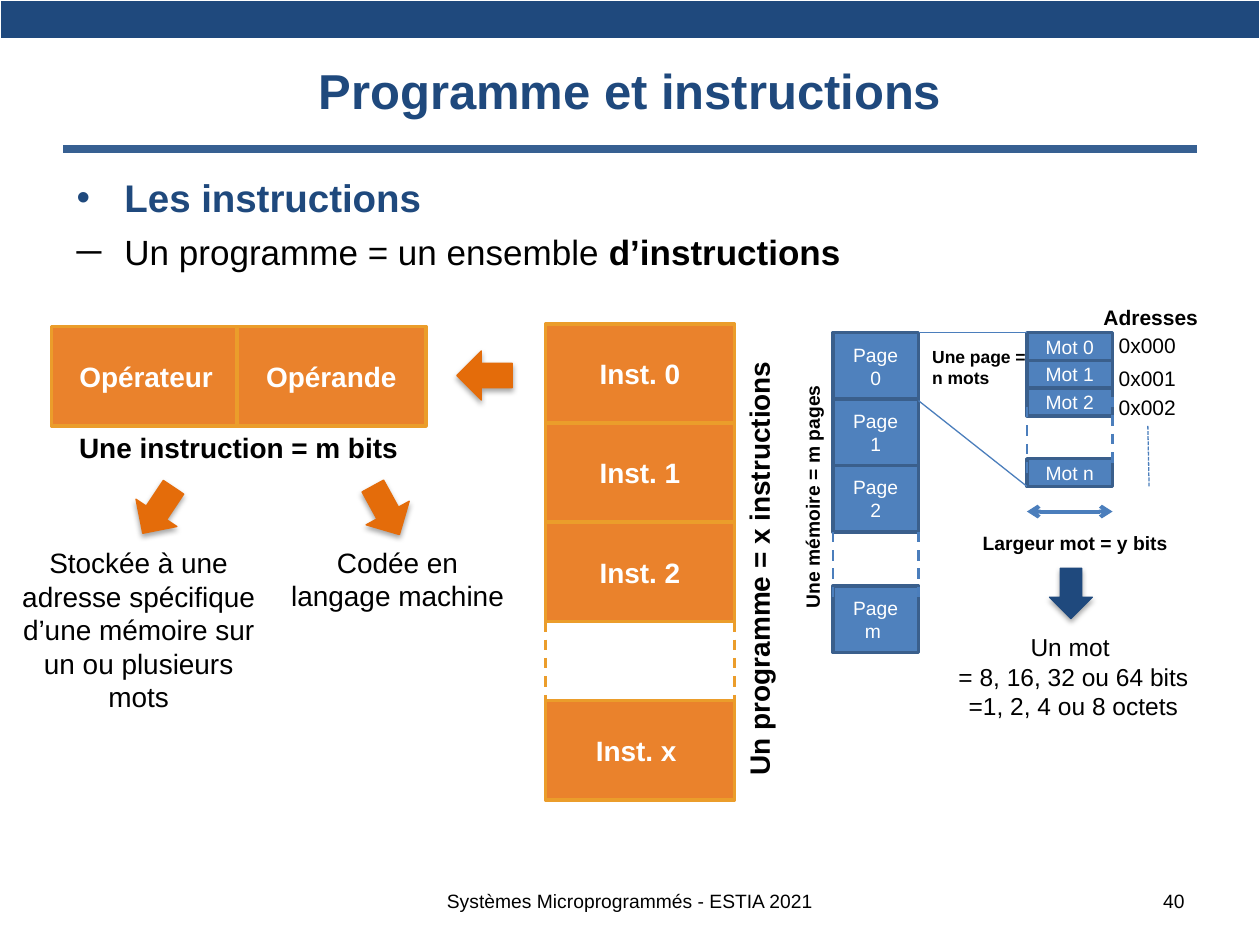
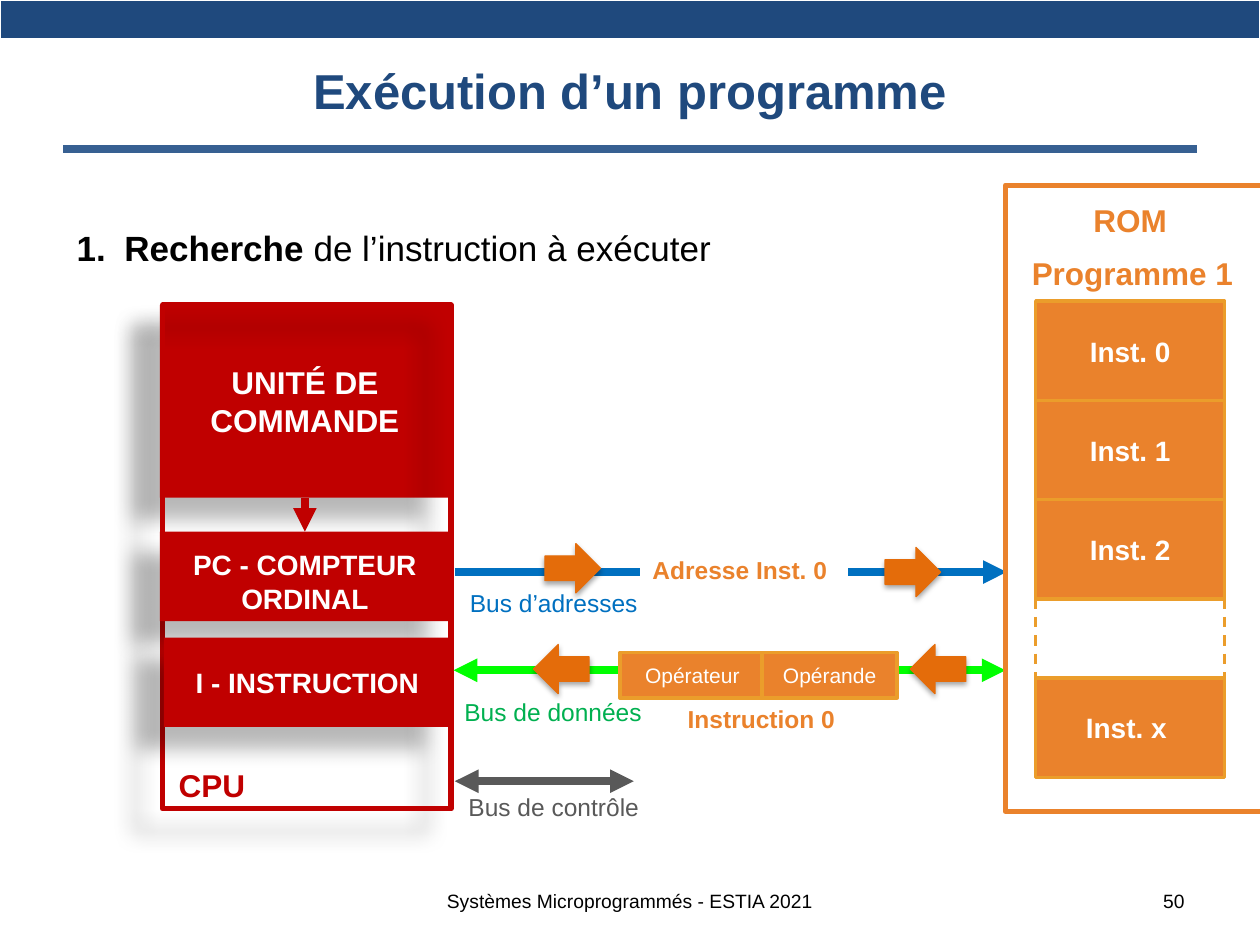
import pptx
import pptx.util
import pptx.dml.color
import pptx.enum.dml
import pptx.enum.shapes
import pptx.enum.text
import pptx.oxml
import pptx.oxml.ns
import lxml.etree

COLORS = {
    "navy": "1F497D", "rule": "376092", "black": "000000", "white": "FFFFFF",
    "orange": "EA822C", "gold": "EB9D2B", "arrow": "E46C0A",
    "blue": "4F81BD", "blue_edge": "3A5F8C", "blue_line": "4B7EBC",
    "red": "C00000", "address": "0070C0", "data": "00FF00",
    "data_text": "00B050", "grey": "595959",
}
FONT = "Arial"
FOOTER = "Systèmes Microprogrammés - ESTIA 2021"
COLUMNS, ROWS = 10, 7.5                      # the slide grid, one cell per inch
CELL = pptx.util.Inches(1)

ALIGN = {"l": pptx.enum.text.PP_ALIGN.LEFT, "c": pptx.enum.text.PP_ALIGN.CENTER,
         "r": pptx.enum.text.PP_ALIGN.RIGHT, "j": pptx.enum.text.PP_ALIGN.JUSTIFY}
ANCHOR = {"t": pptx.enum.text.MSO_ANCHOR.TOP, "m": pptx.enum.text.MSO_ANCHOR.MIDDLE,
          "b": pptx.enum.text.MSO_ANCHOR.BOTTOM}
DASH = {"dash": pptx.enum.dml.MSO_LINE.DASH, "dots": pptx.enum.dml.MSO_LINE.SQUARE_DOT}
RECT = pptx.enum.shapes.MSO_SHAPE.RECTANGLE
DOWN_ARROW = pptx.enum.shapes.MSO_SHAPE.DOWN_ARROW

# Looks: fill, edge, edge width, text size, bold
INSTRUCTION = ("orange", "gold", 2, 16, True)
OPERATION = ("orange", "gold", 2, 12, False)
MEMORY = ("blue", "blue_edge", 2, 11, False)
# Shadows: opacity %, blur pt, distance pt, direction in degrees
SOFT = (35, 3.1, 1.8, 90)
DEEP = (28, 11.8, 19.7, 141)

# ---- Content: (text, left, top, width, height, size, options)
INSTRUCTIONS = ["Inst. 0", "Inst. 1", "Inst. 2", "Inst. x "]
PAGES = ["Page 0", "Page 1", "Page 2", "Page m "]
WORDS = ["Mot 0", "Mot 1", "Mot 2", "Mot n"]
ADDRESSES = [("0x000", 2.59), ("0x001", 2.85), ("0x002", 3.08)]

BOLD = {"bold": True, "wrap": False}
CENTERED = {"align": "c"}
PROGRAM_LABELS = [
    (["Un programme = x instructions"], 4.26, 4.3, 3.53, 0.37, 16, {**BOLD, "turn": 270}),
    (["Une instruction = m bits"], 0.53, 3.37, 2.77, 0.37, 16, BOLD),
    (["Codée en langage machine"], 2.18, 4.28, 1.95, 0.64, 16, CENTERED),
    (["Stockée à une adresse spécifique d’une mémoire sur un ou plusieurs mots"],
     0.04, 4.28, 2.12, 1.45, 16, CENTERED),
    (["Adresses"], 8.66, 2.37, 0.96, 0.3, 12, BOLD),
    (["Largeur mot = y bits"], 7.7, 4.17, 1.68, 0.29, 11, BOLD),
    (["Une mémoire = m pages"], 5.46, 3.79, 1.98, 0.29, 11, {**BOLD, "turn": 270}),
    (["Une page =", "n mots"], 7.3, 2.7, 0.99, 0.44, 10, BOLD),
    (["Un mot ", "= 8, 16, 32 ou 64 bits", "=1, 2, 4 ou 8 octets"],
     7.28, 4.97, 2.48, 0.81, 14, CENTERED),
]
# Block arrows: left, top, turn
PROGRAM_ARROWS = [(1.06, 3.83, 33.7), (2.87, 3.83, 331.3), (3.65, 2.76, 90)]
# Fine lines: from, to, width, options
MEMORY_LINES = [
    ((7.29, 2.64), (8.15, 2.64), 0.75, {}),
    ((7.29, 3.18), (8.15, 3.86), 0.75, {}),
    ((9.11, 3.38), (9.12, 3.86), 0.75, {"dash": "dots"}),
    ((8.15, 4.06), (8.83, 4.06), 2.25, {"ends": ("arrow", "arrow")}),
]

# Buses: colour, left, right, height on the slide, arrow ends
BUSES = [
    ("grey", 3.61, 5.03, 6.2, ("triangle", "triangle")),
    ("address", 3.61, 7.99, 4.54, (None, "triangle")),
    ("data", 3.6, 7.98, 5.32, ("triangle", "triangle")),
]
EXECUTION_LABELS = [
    (["CPU"], 1.32, 6.03, 0.73, 0.4, 18, {**BOLD, "color": "red"}),
    (["Bus d’adresses"], 3.47, 4.62, 1.85, 0.34, 14, {**CENTERED, "color": "address"}),
    (["Bus de données"], 3.58, 5.48, 1.62, 0.34, 14,
     {**CENTERED, "color": "data_text", "wrap": False}),
    (["Bus de contrôle"], 3.49, 6.24, 1.81, 0.34, 14, {**CENTERED, "color": "grey"}),
    (["Programme 1"], 8.09, 1.97, 1.81, 0.4, 18, {**BOLD, "color": "orange"}),
    (["ROM"], 8.58, 1.55, 0.79, 0.4, 18, {**BOLD, "color": "orange"}),
    (["Instruction 0"], 5.36, 5.54, 1.37, 0.34, 14, {**BOLD, "color": "orange"}),
]
EXECUTION_ARROWS = [(7.05, 4.32, 270), (4.35, 4.29, 270), (7.25, 5.09, 90), (4.26, 5.09, 90)]


# ---- Drawing helpers
def rgb(name):
    return pptx.dml.color.RGBColor.from_string(COLORS[name])


def grid(*lengths):
    return [round(length * CELL) for length in lengths]


def add_xml(parent, tag, **attributes):
    node = lxml.etree.SubElement(parent, pptx.oxml.ns.qn(tag))
    for key, value in attributes.items():
        node.set(key, str(value))
    return node


def add_run(paragraph, text, size, color, bold):
    run = paragraph.add_run()
    run.text = text
    run.font.name, run.font.size, run.font.bold = FONT, pptx.util.Pt(size), bold
    run.font.color.rgb = rgb(color)


def write(frame, lines, size, color="black", bold=False, align="l", anchor="t", wrap=True):
    frame.word_wrap = wrap
    frame.vertical_anchor = ANCHOR[anchor]
    for index, line_text in enumerate(lines):
        paragraph = frame.add_paragraph() if index else frame.paragraphs[0]
        paragraph.alignment = ALIGN[align]
        add_run(paragraph, line_text, size, color, bold)


def label(slide, lines, left, top, width, height, size, options):
    box = slide.shapes.add_textbox(*grid(left, top, width, height))
    box.rotation = options.get("turn", 0)
    write(box.text_frame, lines, size,
          **{key: value for key, value in options.items() if key != "turn"})


def block(slide, at, fill=None, edge=None, edge_width=1, kind=RECT, shadow=None, turn=0):
    shape = slide.shapes.add_shape(kind, *grid(*at))
    shape.rotation = turn
    if fill:
        shape.fill.solid()
        shape.fill.fore_color.rgb = rgb(fill)
    else:
        shape.fill.background()
    if edge:
        shape.line.color.rgb = rgb(edge)
        shape.line.width = pptx.util.Pt(edge_width)
    else:
        shape.line.fill.background()
    shape.shadow.inherit = False
    if shadow:
        opacity, blur, distance, direction = shadow
        effects = shape._element.spPr.find(pptx.oxml.ns.qn("a:effectLst"))
        outer = add_xml(effects, "a:outerShdw", blurRad=pptx.util.Pt(blur),
                        dist=pptx.util.Pt(distance), dir=direction * 60000, rotWithShape=0)
        tint = add_xml(outer, "a:srgbClr", val=COLORS["black"])
        add_xml(tint, "a:alpha", val=opacity * 1000)
    return shape


def cell(slide, text, at, look):
    fill, edge, edge_width, size, bold = look
    write(block(slide, at, fill, edge, edge_width).text_frame, [text], size,
          "white", bold, "c", "m")


def arrows(slide, places, color="arrow", width=0.39, height=0.44):
    for left, top, turn in places:
        block(slide, (left, top, width, height), color, color, 0.75, DOWN_ARROW, SOFT, turn)


def line(slide, start, end, color, width, dash=None, ends=(None, None)):
    connector = slide.shapes.add_connector(pptx.enum.shapes.MSO_CONNECTOR.STRAIGHT,
                                           *grid(*start, *end))
    connector.line.color.rgb = rgb(color)
    connector.line.width = pptx.util.Pt(width)
    if dash:
        connector.line.dash_style = DASH[dash]
    for tag, end_kind in zip(("a:headEnd", "a:tailEnd"), ends):
        if end_kind:
            add_xml(connector.line._get_or_add_ln(), tag, type=end_kind)
    add_xml(connector._element.spPr, "a:effectLst")
    return connector


def stack(slide, names, at, break_top, last_top, look, dash_color, dash_length,
          dash_starts=(0, 0)):
    """Cells one under the other; dashes bridge the break before the last one."""
    left, top, width, height = at
    pitch = (break_top - top) / (len(names) - 1)
    tops = [top + row * pitch for row in range(len(names) - 1)] + [last_top]
    for name, cell_top in zip(names, tops):
        cell(slide, name, (left, cell_top, width, height), look)
    for x, shift in zip((left, left + width), dash_starts):
        line(slide, (x, break_top + shift), (x, break_top + shift + dash_length),
             dash_color, 1.5, "dash")


def bullet(paragraph, tag, color=None, **mark):
    properties = paragraph._p.get_or_add_pPr()
    indent = pptx.util.Inches(0.38)
    properties.set("marL", str(indent))
    properties.set("indent", str(-indent))
    if color:
        add_xml(add_xml(properties, "a:buClr"), "a:srgbClr", val=COLORS[color])
    add_xml(properties, "a:buFont", typeface=FONT)
    add_xml(properties, tag, **mark)


def body(slide, top, height):
    frame = slide.shapes.add_textbox(*grid(0.51, top, 9, height)).text_frame
    frame.word_wrap = True
    return frame


def band(slide):
    table = slide.shapes.add_table(1, 1, *grid(0, 0, COLUMNS, 0.31)).table
    table.first_row = table.horz_banding = False
    strip = table.cell(0, 0)
    strip.margin_top = strip.margin_bottom = 0
    strip.fill.solid()
    strip.fill.fore_color.rgb = rgb("navy")
    strip.text_frame.paragraphs[0].font.size = pptx.util.Pt(10)


def new_slide(deck, title, number):
    slide = deck.slides.add_slide(deck.slide_layouts[6])
    line(slide, (0.5, 1.18), (COLUMNS - 0.5, 1.18), "rule", 4.5)
    band(slide)
    label(slide, [title], 0.5, 0.17, 9, 1.08, 28,
          {"color": "navy", "bold": True, "align": "c", "anchor": "m"})
    label(slide, [FOOTER], 2.83, 6.95, 4.34, 0.4, 11, {"align": "c", "anchor": "m"})
    label(slide, [number], 7.17, 6.95, 2.33, 0.4, 11, {"align": "r", "anchor": "m"})
    return slide


# ---- Slides
def program_slide(deck):
    slide = new_slide(deck, "Programme et instructions", "40")
    text = body(slide, 1.33, 5.49)
    heading = text.paragraphs[0]
    bullet(heading, "a:buChar", "navy", char="•")
    add_run(heading, "Les instructions", 22, "navy", True)
    point = text.add_paragraph()
    bullet(point, "a:buChar", char="─")
    point.alignment, point.space_before = ALIGN["j"], pptx.util.Pt(6)
    add_run(point, "Un programme = un ensemble ", 20, "black", False)
    add_run(point, "d’instructions", 20, "black", True)

    # Program, instruction format, then memory pages and words
    stack(slide, INSTRUCTIONS, (4.33, 2.57, 1.5, 0.79), 4.93, 5.56, INSTRUCTION, "gold", 0.84)
    for name, left in (("Opérateur", 0.41), ("Opérande", 1.88)):
        cell(slide, name, (left, 2.59, 1.5, 0.79), INSTRUCTION)
    stack(slide, PAGES, (6.61, 2.64, 0.68, 0.53), 4.22, 4.65, MEMORY, "blue_line", 0.57)
    stack(slide, WORDS, (8.15, 2.64, 0.68, 0.22), 3.3, 3.64, MEMORY, "blue_line", 0.57,
          (-0.07, -0.15))
    for start, end, width, options in MEMORY_LINES:
        line(slide, start, end, "blue_line", width, **options)
    arrows(slide, PROGRAM_ARROWS)
    arrows(slide, [(8.33, 4.51, 0)], "navy", 0.34, 0.4)
    for address, top in ADDRESSES:
        label(slide, [address], 8.78, top, 0.66, 0.3, 12, {"wrap": False})
    for item in PROGRAM_LABELS:
        label(slide, *item)


def execution_slide(deck):
    slide = new_slide(deck, "Exécution d’un programme", "50")
    step = body(slide, 1.75, 0.98).paragraphs[0]
    bullet(step, "a:buAutoNum", type="arabicPeriod")
    step.alignment = ALIGN["j"]
    add_run(step, "Recherche ", 20, "black", True)
    add_run(step, "de l’instruction à exécuter", 20, "black", False)

    # Processor frame, buses and registers
    def unit(name, at, size, anchor="m"):
        shape = block(slide, at, "red", shadow=DEEP)
        write(shape.text_frame, [name], size, "white", True, "c", anchor)
        return shape

    control = unit("UNITÉ DE COMMANDE", (1.27, 2.42, 2.3, 1.53), 18)
    block(slide, (1.29, 2.42, 2.29, 4), None, "red", 3, shadow=DEEP)
    for color, left, right, height, ends in BUSES:
        line(slide, (left, height), (right, height), color, 4.5, ends=ends)
    counter = unit("PC - COMPTEUR ORDINAL", (1.27, 4.22, 2.3, 0.71), 16, "b")
    order = line(slide, (2.42, 3.95), (2.42, 4.22), "red", 4.5, ends=(None, "triangle"))
    order.begin_connect(control, 2)
    order.end_connect(counter, 0)
    unit("I - INSTRUCTION", (1.3, 5.06, 2.28, 0.71), 16)

    # What travels on the buses
    address = block(slide, (5.08, 4.36, 1.65, 0.34), "white")
    write(address.text_frame, ["Adresse Inst. 0"], 14, "orange", True)
    arrows(slide, EXECUTION_ARROWS)
    cell(slide, "Opérateur", (4.92, 5.18, 1.15, 0.36), OPERATION)
    cell(slide, "Opérande", (6.05, 5.18, 1.07, 0.36), OPERATION)

    # Program memory
    stack(slide, INSTRUCTIONS, (8.22, 2.39, 1.5, 0.79), 4.75, 5.38, INSTRUCTION, "gold", 0.84)
    block(slide, (7.98, 1.47, 2.3, 4.97), None, "orange", 3)
    for item in EXECUTION_LABELS:
        label(slide, *item)


def main():
    deck = pptx.Presentation()
    deck.slide_width, deck.slide_height = grid(COLUMNS, ROWS)
    program_slide(deck)
    execution_slide(deck)
    deck.save("out.pptx")


if __name__ == "__main__":
    main()
